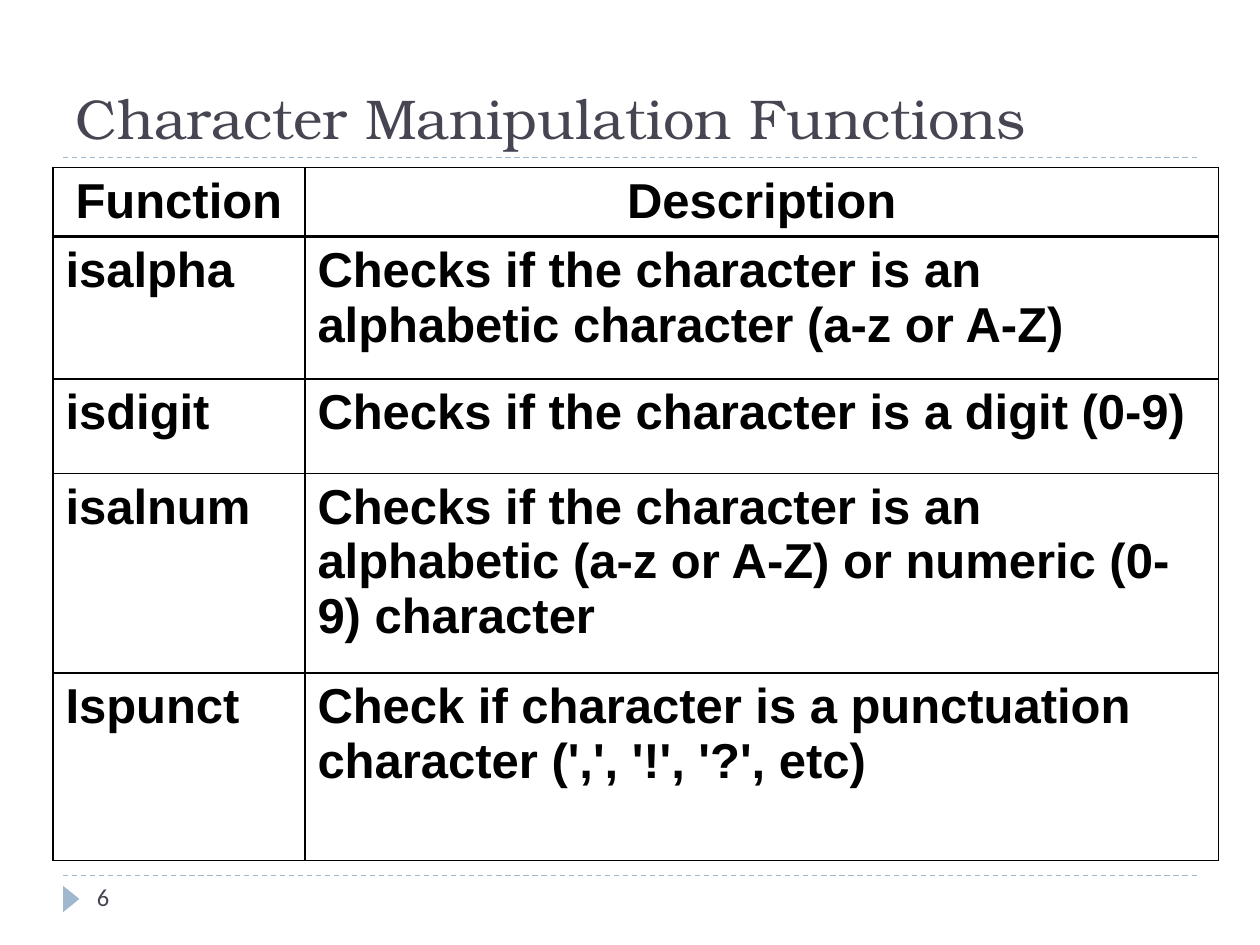
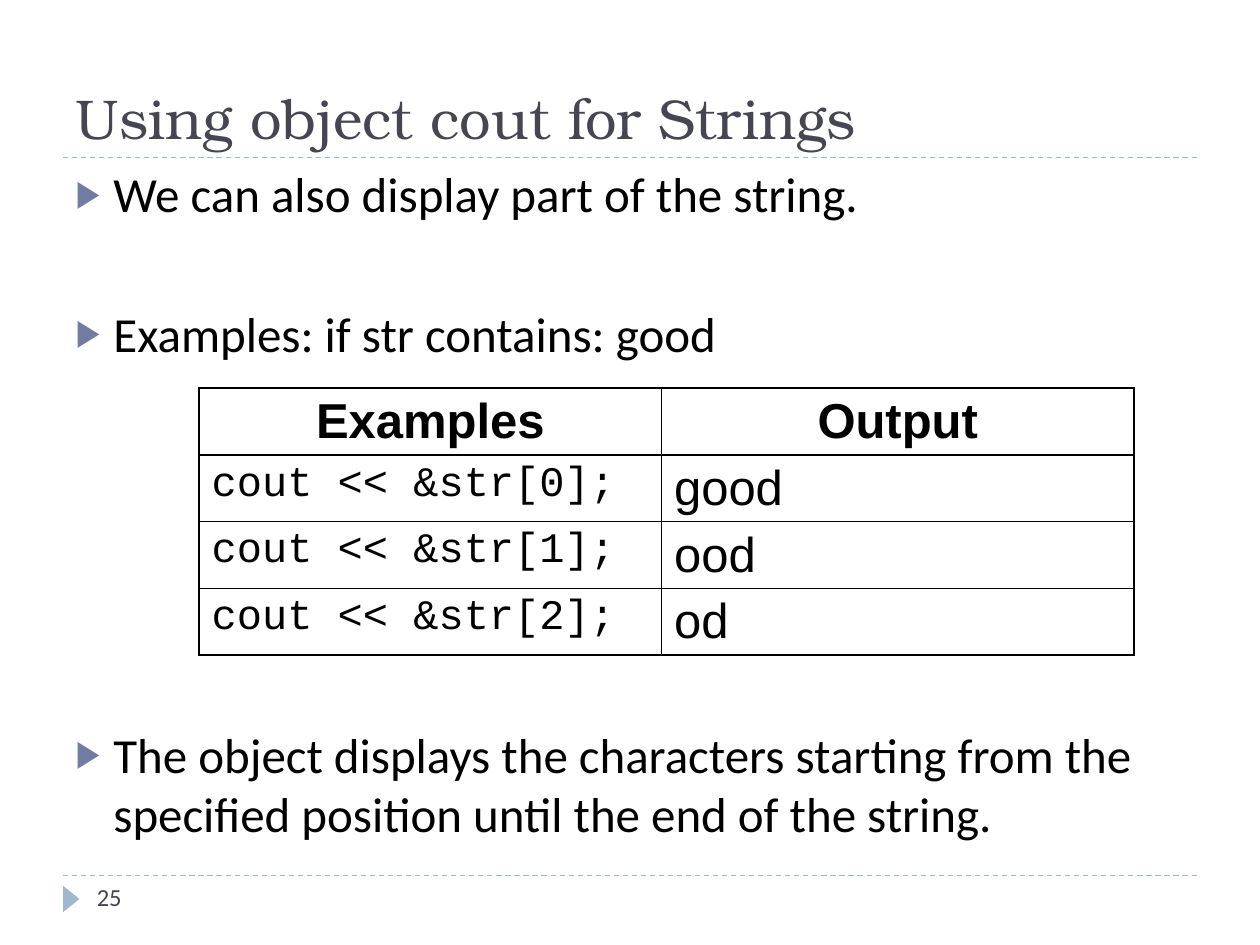
from lxml import etree
from pptx import Presentation
from pptx.dml.color import RGBColor
from pptx.enum.dml import MSO_LINE
from pptx.enum.shapes import MSO_CONNECTOR, MSO_SHAPE
from pptx.enum.text import MSO_ANCHOR, MSO_AUTO_SIZE, PP_ALIGN
from pptx.oxml.ns import qn
from pptx.util import Pt

PX = 9144
STRAIGHT = MSO_CONNECTOR.STRAIGHT
TRIANGLE = MSO_SHAPE.ISOSCELES_TRIANGLE
DASH = MSO_LINE.DASH
LEFT, CENTER = PP_ALIGN.LEFT, PP_ALIGN.CENTER
TOP, BOTTOM = MSO_ANCHOR.TOP, MSO_ANCHOR.BOTTOM
NO_FIT = MSO_AUTO_SIZE.NONE

INK, SLATE, PALE_BLUE, BULLET = "000000", "464653", "9FB8CD", "727CA3"
HEADING, BODY, TABLE, CODE = "TeX Gyre Bonum", "Calibri", "Arial", "Courier New"
TITLE_ONLY, TITLE_AND_BODY = 5, 1


def rgb(color):
    return RGBColor.from_string(color)


def style(para, font, size, color=INK, bold=False, align=LEFT):
    para.alignment = align
    for span in para.runs:
        span.font.name = font
        span.font.size = Pt(size)
        span.font.color.rgb = rgb(color)
        span.font.bold = bold


pages = [
    {
        "title": "Character Manipulation Functions",
        "number": "6",
        "layout": TITLE_ONLY,
        "bullets": [],
        "origin": (42, 133),
        "columns": [200, 725],
        "rows": [55, 113, 75, 158, 149],
        "header_rule": 2,
        "first_column": (TABLE, 28),
        "bold": True,
        "cells": [
            ("Function", "Description"),
            ("isalpha", "Checks if the character is an alphabetic character (a-z or A-Z)"),
            ("isdigit", "Checks if the character is a digit (0-9)"),
            ("isalnum", "Checks if the character is an alphabetic (a-z or A-Z) or numeric (0-9) character"),
            ("Ispunct", "Check if character is a punctuation character (',', '!', '?', etc)"),
        ],
    },
    {
        "title": "Using object cout for Strings",
        "number": "25",
        "layout": TITLE_AND_BODY,
        "bullets": [
            ("We can also display part of the string.", 6),
            ("Examples: if str contains: good", 46),
            ("The object displays the characters starting from the specified position until the end of the string.", 207),
        ],
        "origin": (158, 308),
        "columns": [367, 375],
        "rows": [53] * 4,
        "header_rule": 1,
        "first_column": (CODE, 24),
        "bold": False,
        "cells": [
            ("Examples", "Output"),
            ("cout << &str[0];", "good"),
            ("cout << &str[1];", "ood"),
            ("cout << &str[2];", "od"),
        ],
    },
]

deck = Presentation()
deck.slide_width = 1000 * PX
deck.slide_height = 750 * PX

for page in pages:
    slide = deck.slides.add_slide(deck.slide_layouts[page["layout"]])

    for y in (695, 125):
        rule = slide.shapes.add_connector(STRAIGHT, 50 * PX, y * PX, 950 * PX, y * PX)
        rule.line.color.rgb = rgb(PALE_BLUE)
        rule.line.width = Pt(0.75)
        rule.line.dash_style = DASH
        etree.SubElement(rule._element.spPr, qn("a:effectLst"))

    marker = slide.shapes.add_shape(TRIANGLE, 46 * PX, 707 * PX, 21 * PX, 13 * PX)
    marker.rotation = 90
    marker.shadow.inherit = False
    marker.fill.solid()
    marker.fill.fore_color.rgb = rgb(PALE_BLUE)
    marker.line.fill.background()

    title = slide.shapes.title
    title.left, title.top, title.width, title.height = 50 * PX, 17 * PX, 900 * PX, 108 * PX
    title.text_frame.text = page["title"]
    title.text_frame.auto_size = NO_FIT
    title.text_frame.vertical_anchor = BOTTOM
    style(title.text_frame.paragraphs[0], HEADING, 32, SLATE)

    if page["bullets"]:
        body = slide.placeholders[1]
        body.left, body.top, body.width, body.height = 50 * PX, 125 * PX, 917 * PX, 575 * PX
        body.text_frame.text = "\n".join(text for text, gap in page["bullets"])
        body.text_frame.auto_size = NO_FIT
        body.text_frame.vertical_anchor = TOP
        for para, (text, gap) in zip(body.text_frame.paragraphs, page["bullets"]):
            style(para, BODY, 28)
            para.space_before = Pt(gap)
            properties = para._p.get_or_add_pPr()
            properties.set("marL", str(30 * PX))
            properties.set("indent", str(-30 * PX))
            bullet_color = etree.SubElement(properties, qn("a:buClr"))
            etree.SubElement(bullet_color, qn("a:srgbClr"), val=BULLET)
            etree.SubElement(properties, qn("a:buSzPct"), val="76000")
            etree.SubElement(properties, qn("a:buChar"), char="▶")

    left, top = page["origin"]
    columns, rows = page["columns"], page["rows"]
    table = slide.shapes.add_table(
        len(rows), len(columns), left * PX, top * PX, sum(columns) * PX, sum(rows) * PX
    ).table
    for column, width in zip(table.columns, columns):
        column.width = width * PX
    for row, height in zip(table.rows, rows):
        row.height = height * PX

    for r, texts in enumerate(page["cells"]):
        for c, text in enumerate(texts):
            cell = table.cell(r, c)
            cell.text_frame.text = text
            cell.margin_bottom = 4 * PX
            font, size = page["first_column"] if r and c == 0 else (TABLE, 28)
            style(
                cell.text_frame.paragraphs[0], font, size,
                bold=r == 0 or page["bold"], align=LEFT if r else CENTER,
            )
            for side in "LRTB":
                under_header = (r, side) in ((0, "B"), (1, "T"))
                weight = page["header_rule"] if under_header else 1
                border = etree.SubElement(
                    cell._tc.get_or_add_tcPr(), qn("a:ln" + side), w=str(Pt(weight))
                )
                border_fill = etree.SubElement(border, qn("a:solidFill"))
                etree.SubElement(border_fill, qn("a:srgbClr"), val=INK)
            cell.fill.background()

    number = slide.shapes.add_textbox(67 * PX, 695 * PX, 217 * PX, 40 * PX)
    number.text_frame.word_wrap = True
    number.text_frame.text = page["number"]
    style(number.text_frame.paragraphs[0], BODY, 14, SLATE)

deck.save("out.pptx")
